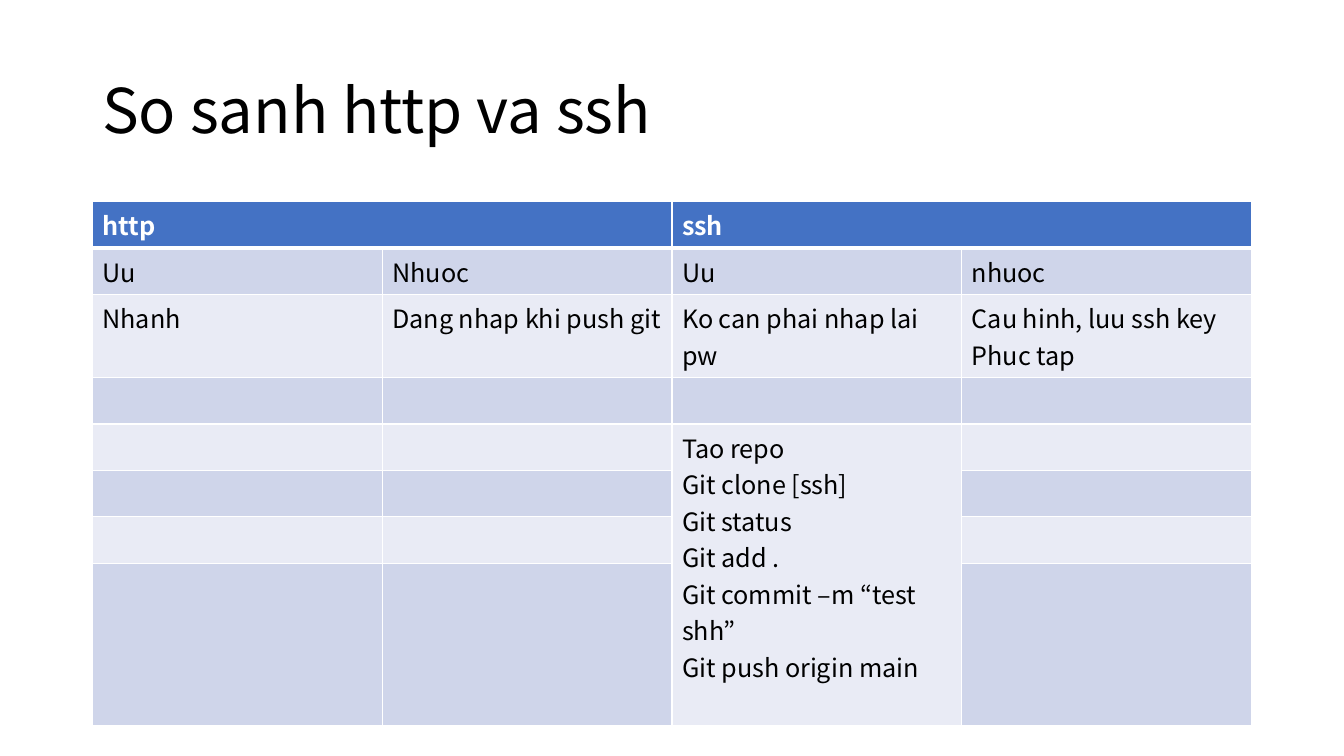
from dataclasses import dataclass
from typing import Any

import lxml.etree
import pptx
import pptx.dml.color
import pptx.enum.text
import pptx.oxml.ns
import pptx.slide
import pptx.table
import pptx.util


@dataclass(frozen=True)
class Theme:
    font: str = "Noto Sans CJK JP"
    title_size: int = 44
    body_size: int = 18
    ink: str = "000000"
    header_ink: str = "FFFFFF"
    border: str = "FFFFFF"
    header_fill: str = "4472C4"
    bands: tuple[str, str] = ("E9EBF5", "CFD5EA")
    thin: int = 1
    thick: int = 3


@dataclass(frozen=True)
class Entry:
    row: int
    column: int
    lines: tuple[str, ...]
    row_span: int = 1
    column_span: int = 1


THEME = Theme()
UNIT = pptx.util.Inches(1) // 12
SLIDE_COLUMNS, SLIDE_ROWS = 160, 90
LEFT, WIDTH = 11, 138
TITLE_TOP, TITLE_HEIGHT = 4.8, 17.4
TABLE_TOP = 24
COLUMN_COUNT = 4
LINE_ROW, WRAPPED_ROW, COMMANDS_ROW = 5.53, 9.9, 19.3
ROW_HEIGHTS = (LINE_ROW,) * 2 + (WRAPPED_ROW,) + (LINE_ROW,) * 4 + (COMMANDS_ROW,)

ENTRIES = (
    Entry(0, 0, ("http",), column_span=2),
    Entry(0, 2, ("ssh",), column_span=2),
    Entry(1, 0, ("Uu",)),
    Entry(1, 1, ("Nhuoc",)),
    Entry(1, 2, ("Uu",)),
    Entry(1, 3, ("nhuoc",)),
    Entry(2, 0, ("Nhanh",)),
    Entry(2, 1, ("Dang nhap khi push git",)),
    Entry(2, 2, ("Ko can phai nhap lai pw",)),
    Entry(2, 3, ("Cau hinh, luu ssh key", "Phuc tap")),
    Entry(4, 2, (
        "Tao repo",
        "Git clone [ssh]",
        "Git status",
        "Git add .",
        "Git commit –m “test shh”",
        "Git push origin main",
    ), row_span=4),
)


def grid(count: float) -> pptx.util.Emu:
    return pptx.util.Emu(round(count * UNIT))


def apply_format(target: Any, values: dict[str, Any]) -> None:
    for attribute, value in values.items():
        setattr(target, attribute, value)


def write_lines(frame: Any, lines: tuple[str, ...], size: int, ink: str, bold: bool = False) -> None:
    for index, line in enumerate(lines):
        paragraph = frame.add_paragraph() if index else frame.paragraphs[0]
        run = paragraph.add_run()
        run.text = line
        apply_format(run.font, {"name": THEME.font, "size": pptx.util.Pt(size), "bold": bold})
        run.font.color.rgb = pptx.dml.color.RGBColor.from_string(ink)


def paint_cell(cell: Any, row: int) -> None:
    qn = pptx.oxml.ns.qn
    properties = cell._tc.get_or_add_tcPr()
    heavy_side = {0: "B", 1: "T"}.get(row)
    for side in "LRTB":
        points = THEME.thick if side == heavy_side else THEME.thin
        edge = lxml.etree.SubElement(properties, qn(f"a:ln{side}"), w=str(pptx.util.Pt(points)))
        paint = lxml.etree.SubElement(edge, qn("a:solidFill"))
        lxml.etree.SubElement(paint, qn("a:srgbClr"), val=THEME.border)
    cell.fill.solid()
    fill = THEME.bands[row % 2] if row else THEME.header_fill
    cell.fill.fore_color.rgb = pptx.dml.color.RGBColor.from_string(fill)


def add_heading(slide: pptx.slide.Slide, wording: str) -> None:
    heading = slide.shapes.add_textbox(grid(LEFT), grid(TITLE_TOP), grid(WIDTH), grid(TITLE_HEIGHT))
    apply_format(heading.text_frame, {
        "word_wrap": True,
        "vertical_anchor": pptx.enum.text.MSO_ANCHOR.MIDDLE,
    })
    write_lines(heading.text_frame, (wording,), THEME.title_size, THEME.ink)
    heading.text_frame.paragraphs[0].line_spacing = 0.9


def add_comparison(slide: pptx.slide.Slide) -> None:
    comparison = slide.shapes.add_table(
        len(ROW_HEIGHTS), COLUMN_COUNT,
        grid(LEFT), grid(TABLE_TOP), grid(WIDTH), grid(sum(ROW_HEIGHTS)),
    ).table
    for row, height in enumerate(ROW_HEIGHTS):
        comparison.rows[row].height = grid(height)
        for column in range(COLUMN_COUNT):
            paint_cell(comparison.cell(row, column), row)
    for entry in ENTRIES:
        cell = comparison.cell(entry.row, entry.column)
        if entry.row_span * entry.column_span > 1:
            cell.merge(comparison.cell(
                entry.row + entry.row_span - 1, entry.column + entry.column_span - 1,
            ))
        header = entry.row == 0
        ink = THEME.header_ink if header else THEME.ink
        write_lines(cell.text_frame, entry.lines, THEME.body_size, ink, header)


def main() -> None:
    deck = pptx.Presentation()
    apply_format(deck, {"slide_width": grid(SLIDE_COLUMNS), "slide_height": grid(SLIDE_ROWS)})
    slide = deck.slides.add_slide(deck.slide_layouts[6])
    add_heading(slide, "So sanh http va ssh")
    add_comparison(slide)
    deck.save("out.pptx")


if __name__ == "__main__":
    main()
